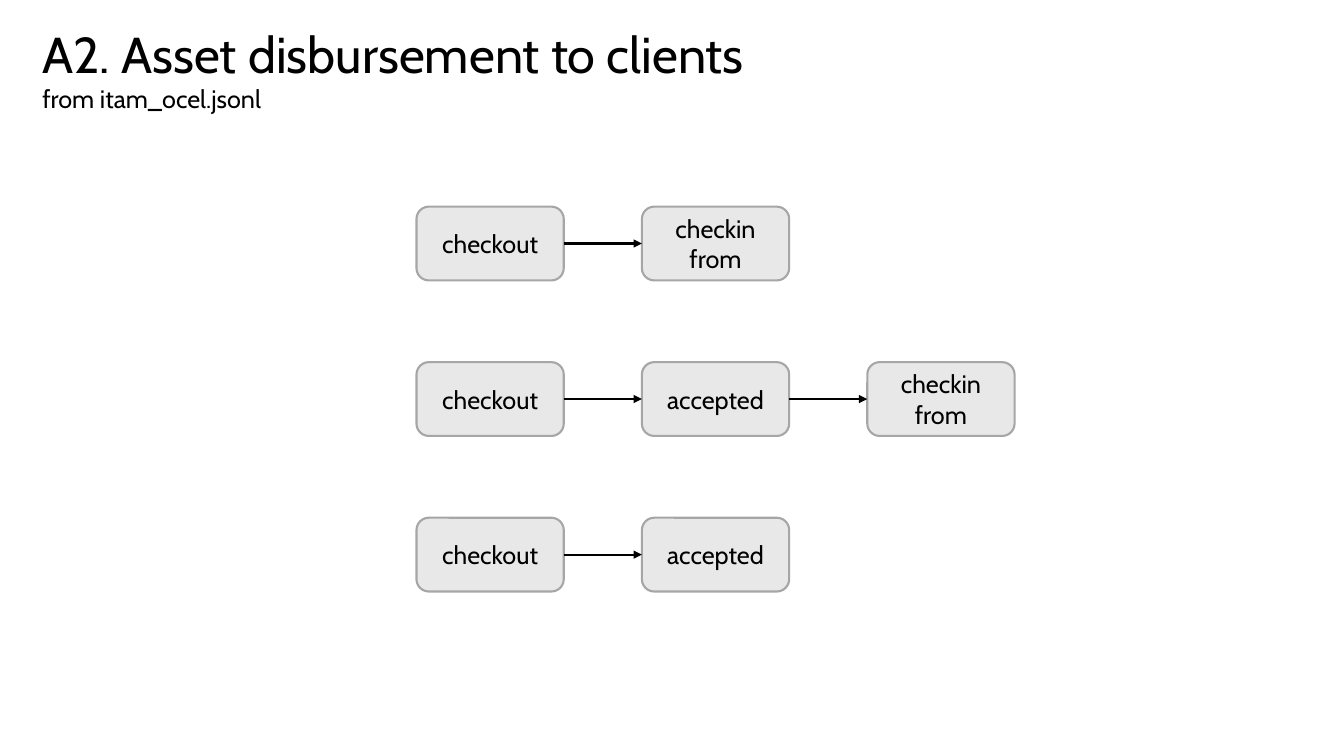
from dataclasses import dataclass
from itertools import pairwise

from pptx import Presentation
from pptx.dml.color import RGBColor as RGB
from pptx.enum.shapes import MSO_CONNECTOR as CONNECTOR, MSO_SHAPE as SHAPE
from pptx.enum.text import MSO_ANCHOR as ANCHOR, MSO_AUTO_SIZE as AUTO, PP_ALIGN as ALIGN
from pptx.oxml.ns import qn
from pptx.util import Pt
from lxml.etree import SubElement

TITLE = "A2. Asset disbursement to clients"
SOURCE = "from itam_ocel.jsonl"
FLOWS = [
    ["checkout", "checkin\nfrom"],
    ["checkout", "accepted", "checkin\nfrom"],
    ["checkout", "accepted"],
]


@dataclass(frozen=True)
class Theme:
    font: str = "Cabin"
    title_size: int = 36
    text_size: int = 18
    line_width: float = 1.5
    ink: RGB = RGB(0, 0, 0)
    box_fill: RGB = RGB(0xE8, 0xE8, 0xE8)
    box_line: RGB = RGB(0xA6, 0xA6, 0xA6)


THEME = Theme()
LEFT, TOP = 297.5, 147.6
BOX_W, BOX_H = 105.2, 52.7
STEP_X, STEP_Y = 161, 111.1
RIGHT_SITE, LEFT_SITE = 3, 1


def format_paragraph(p, size, align):
    p.alignment = align
    for r in p.runs:
        r.font.name = THEME.font
        r.font.size = Pt(size)
        r.font.color.rgb = THEME.ink


def add_title(s):
    title = s.shapes.title
    title.left, title.top, title.width, title.height = Pt(23), Pt(13), Pt(539), Pt(73)
    tf = title.text_frame
    tf.text = f"{TITLE}\n{SOURCE}"
    tf.word_wrap = False
    tf.auto_size = AUTO.SHAPE_TO_FIT_TEXT
    tf.vertical_anchor = ANCHOR.TOP
    for p, size in zip(tf.paragraphs, (THEME.title_size, THEME.text_size)):
        format_paragraph(p, size, ALIGN.LEFT)


def add_step(s, label, col, row):
    sp = s.shapes.add_shape(
        SHAPE.ROUNDED_RECTANGLE,
        Pt(LEFT + col * STEP_X), Pt(TOP + row * STEP_Y), Pt(BOX_W), Pt(BOX_H),
    )
    sp.shadow.inherit = False
    sp.fill.solid()
    sp.fill.fore_color.rgb = THEME.box_fill
    sp.line.color.rgb = THEME.box_line
    sp.line.width = Pt(THEME.line_width)
    tf = sp.text_frame
    tf.text = label
    tf.word_wrap = True
    tf.vertical_anchor = ANCHOR.MIDDLE
    for p in tf.paragraphs:
        format_paragraph(p, THEME.text_size, ALIGN.CENTER)
    return sp


def add_arrow(s, start, end):
    arrow = s.shapes.add_connector(CONNECTOR.STRAIGHT, 0, 0, 0, 0)
    arrow.begin_connect(start, RIGHT_SITE)
    arrow.end_connect(end, LEFT_SITE)
    arrow.line.color.rgb = THEME.ink
    arrow.line.width = Pt(THEME.line_width)
    SubElement(arrow.line._get_or_add_ln(), qn("a:tailEnd"), type="triangle")
    SubElement(arrow._element.spPr, qn("a:effectLst"))


def main():
    prs = Presentation()
    prs.slide_width, prs.slide_height = Pt(960), Pt(540)
    s = prs.slides.add_slide(prs.slide_layouts[5])
    add_title(s)
    for row, flow in enumerate(FLOWS):
        steps = [add_step(s, label, col, row) for col, label in enumerate(flow)]
        for start, end in pairwise(steps):
            add_arrow(s, start, end)
    prs.save("out.pptx")


if __name__ == "__main__":
    main()
